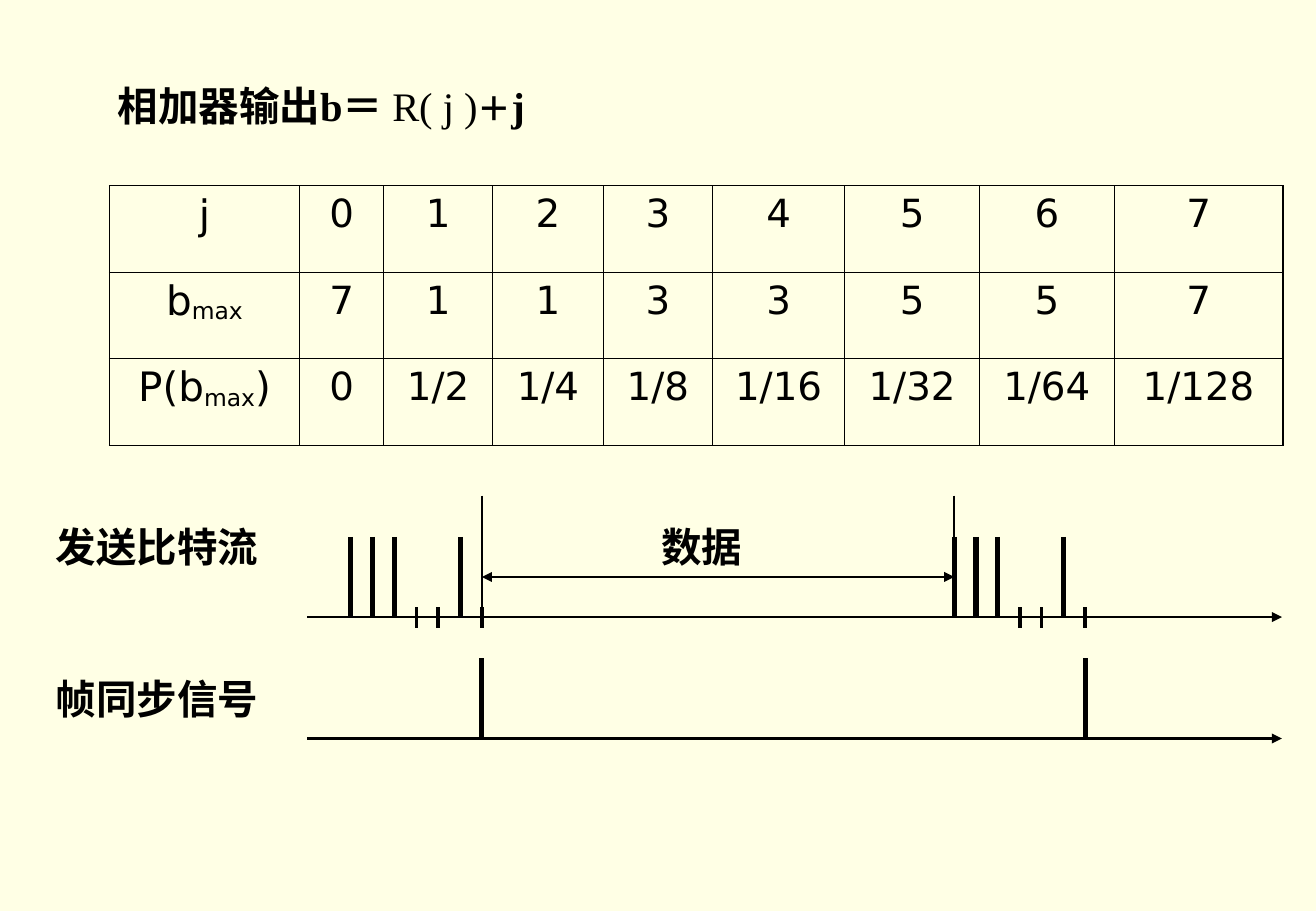
from lxml import etree
from pptx import Presentation
from pptx import util as u
from pptx.dml import color
from pptx.enum import shapes, text
from pptx.oxml.ns import qn

PX = 9144  # EMU per px, 100 px to the inch
INK, PAPER = "000000", "FFFFE5"
SERIF, SANS = "Times New Roman", "DejaVu Sans"


def rgb(code):
    return color.RGBColor.from_string(code)


def px(*nums):
    return [u.Emu(n * PX) for n in nums]


def apply(item, form):
    for name, value in form.items():
        setattr(item, name, value)


class Page:
    def __init__(self, wide, high):
        self.deck = Presentation()
        apply(self.deck, dict(zip(("slide_width", "slide_height"), px(wide, high))))
        self.slide = self.deck.slides.add_slide(self.deck.slide_layouts[5])
        fill = self.slide.background.fill
        fill.solid()
        fill.fore_color.rgb = rgb(PAPER)
        self.shapes = self.slide.shapes

    def run(self, para, words, size, **form):
        low = form.pop("low", False)
        run = para.add_run()
        run.text = words
        apply(run.font, {"size": u.Pt(size), "name": SERIF, "bold": True, **form})
        run.font.color.rgb = rgb(INK)
        if low:
            run.font._element.set("baseline", "-10000")

    def frame(self, box):
        apply(box.text_frame, {
            "word_wrap": False,
            "auto_size": text.MSO_AUTO_SIZE.SHAPE_TO_FIT_TEXT,
            "vertical_anchor": text.MSO_ANCHOR.TOP,
        })
        para = box.text_frame.paragraphs[0]
        para.alignment = text.PP_ALIGN.LEFT
        return para

    def title(self, place, runs):
        box = self.shapes.title
        apply(box, dict(zip(("left", "top", "width", "height"), px(*place))))
        para = self.frame(box)
        apply(para, {"line_spacing": 1.3, "space_before": u.Pt(0)})
        for words, size, bold in runs:
            self.run(para, words, size, bold=bold)

    def label(self, place, words):
        self.run(self.frame(self.shapes.add_textbox(*px(*place))), words, 24)

    def line(self, x1, y1, x2, y2, width, ends=()):
        line = self.shapes.add_connector(
            shapes.MSO_CONNECTOR.STRAIGHT, *px(x1, y1, x2, y2))
        line.line.width = u.Pt(width)
        line.line.color.rgb = rgb(INK)
        props = line.element.spPr
        for end in ends:
            etree.SubElement(props.find(qn("a:ln")), qn("a:" + end), type="triangle")
        etree.SubElement(props, qn("a:effectLst"))

    def edge(self, cell, sides):
        props = cell._tc.get_or_add_tcPr()
        for spot, (side, width) in enumerate(sides.items()):
            line = etree.Element(qn("a:ln" + side), w=str(u.Pt(width)))
            fill = etree.SubElement(line, qn("a:solidFill"))
            etree.SubElement(fill, qn("a:srgbClr"), val=INK)
            props.insert(spot, line)

    def table(self, left, top, cols, rows, data):
        grid = self.shapes.add_table(
            len(rows), len(cols), *px(left, top, sum(cols), sum(rows))).table
        apply(grid, {"first_row": False, "horz_banding": False})
        for col, wide in zip(grid.columns, px(*cols)):
            col.width = wide
        for row, high in zip(grid.rows, px(*rows)):
            row.height = high
        thick, thin = 1.08, 0.45
        for r, line in enumerate(data):
            for c, parts in enumerate(line):
                cell = grid.cell(r, c)
                cell.fill.background()
                right = thick if c == len(cols) - 1 else thin
                self.edge(cell, {"L": thin, "R": right, "T": thin, "B": thin})
                para = cell.text_frame.paragraphs[0]
                para.alignment = text.PP_ALIGN.CENTER
                for words in parts:
                    self.run(para, words, 23 if c else 24, name=SANS, bold=False,
                             low=words == "max")


def main():
    page = Page(1084, 750)

    # Heading
    page.title((87, 50, 394, 62), [("相加器输出b＝ ", 24, True), ("R( j )", 24, False),
                                   ("＋", 20, True), ("j", 24, True)])

    # Table of values; each cell is a list of runs
    heads = [["j"], ["b", "max"], ["P(b", "max", ")"]]
    values = ["0 1 2 3 4 5 6 7", "7 1 1 3 3 5 5 7",
              "0 1/2 1/4 1/8 1/16 1/32 1/64 1/128"]
    data = [[head] + [[v] for v in row.split()] for head, row in zip(heads, values)]
    page.table(90, 153, [157, 69, 90, 91, 90, 109, 111, 111, 139], [71, 71, 72], data)

    # Time axes
    stream, sync = 508, 608
    for y in (stream, sync):
        page.line(253, y, 1056, y, 1.5, ["tailEnd"])

    # Frame code: tall pulse for 1, short tick for 0, sync pulse at its last bit
    code, step, starts = "1110010", 18, (289, 786)
    last = (len(code) - 1) * step
    for start in starts:
        for i, bit in enumerate(code):
            x = start + i * step
            if bit == "1":
                page.line(x, stream - 66, x, stream, 3)
            else:
                page.line(x, stream - 8, x, stream + 9, 2.25)
        page.line(start + last, sync - 66, start + last, sync, 3)

    # Data span between the two codes
    span = (starts[0] + last, starts[1])
    for x in span:
        page.line(x, 408, x, stream, 1.5)
    page.line(span[0], 475, span[1], 475, 0.75, ["headEnd", "tailEnd"])

    # Labels
    page.label((535, 425, 92, 50), "数据")
    page.label((36, 425, 192, 50), "发送比特流")
    page.label((36, 550, 192, 50), "帧同步信号")

    page.deck.save("out.pptx")


if __name__ == "__main__":
    main()
